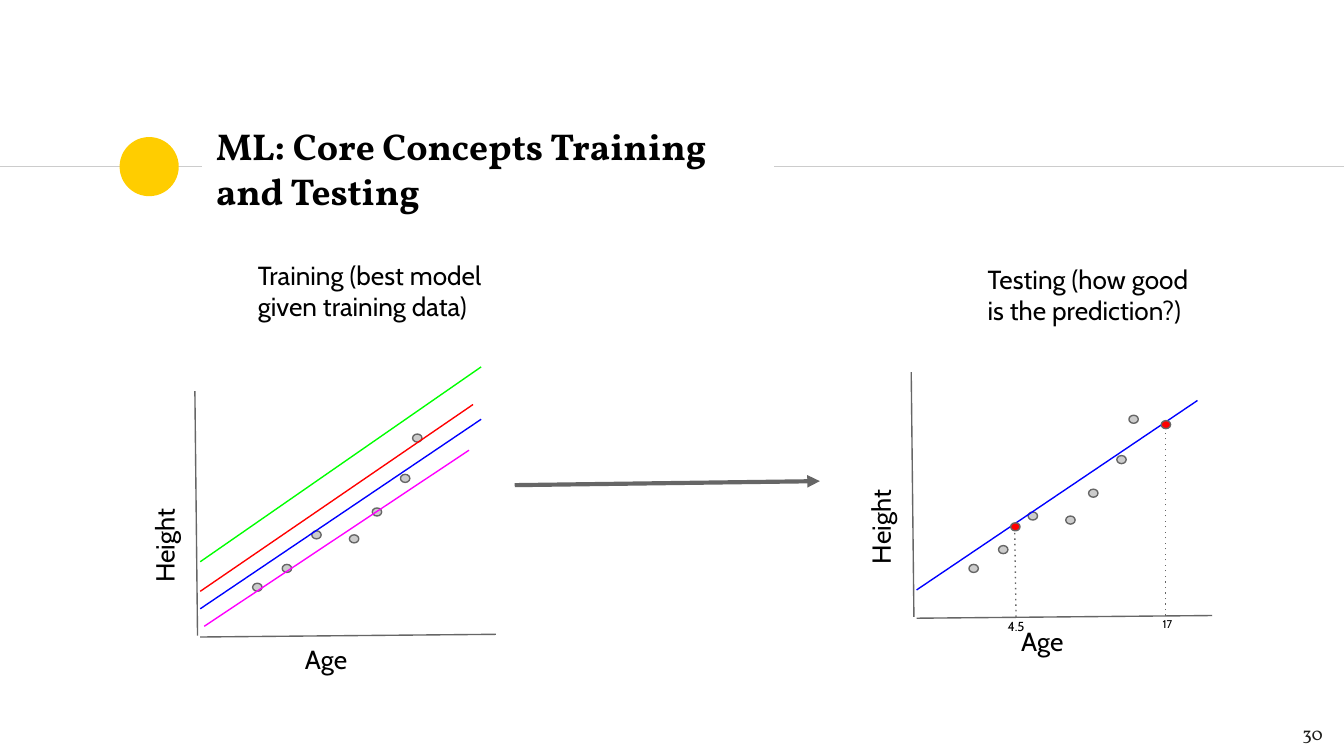
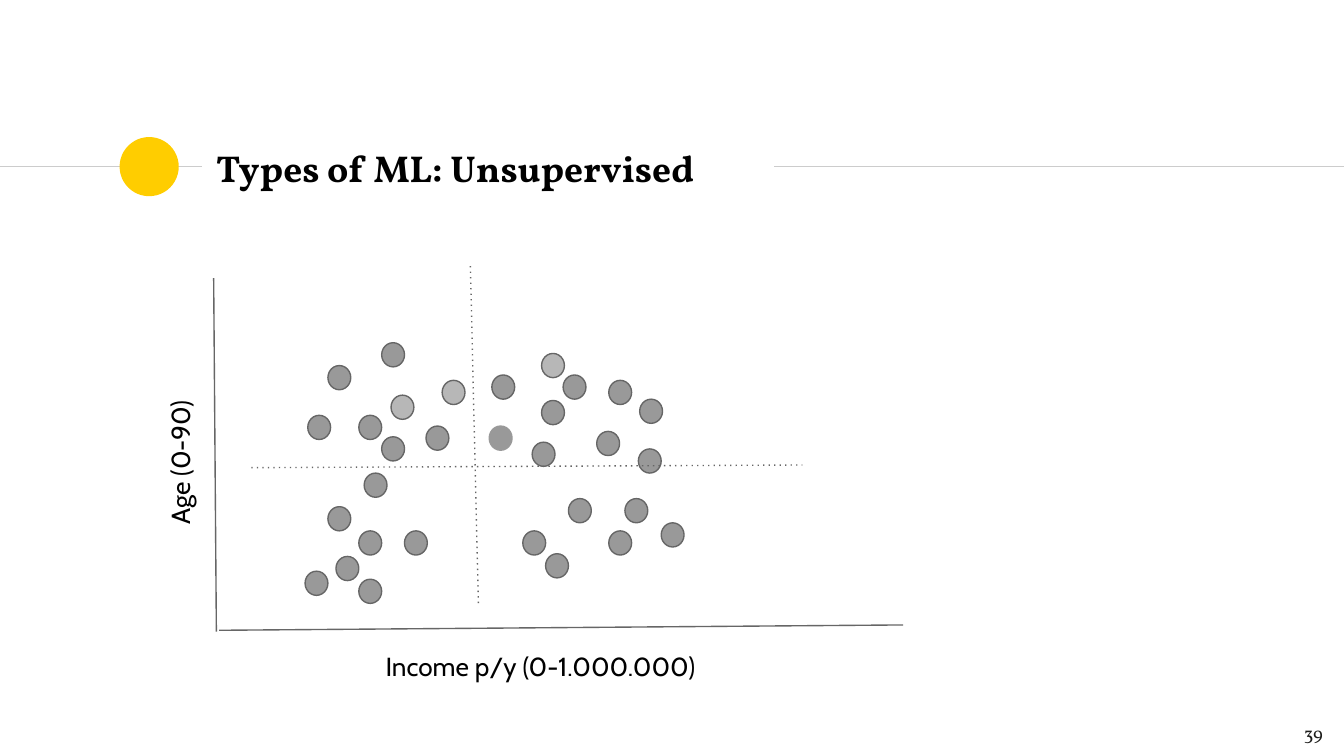
from dataclasses import dataclass
from typing import NamedTuple

from lxml.etree import SubElement
from pptx import Presentation
from pptx.dml.color import RGBColor
from pptx.enum.shapes import MSO_CONNECTOR, MSO_SHAPE
from pptx.enum.text import MSO_ANCHOR, PP_ALIGN
from pptx.oxml.ns import qn
from pptx.slide import Slide
from pptx.util import Inches, Pt


@dataclass(frozen=True)
class Theme:
    title_font: str = "Vollkorn"
    body_font: str = "Cabin"
    title_size: float = 20
    body_size: float = 14
    number_size: float = 10
    tick_size: float = 7
    small_tick_size: float = 6
    thin: float = 0.75
    thick: float = 2.25
    black: str = "000000"
    number: str = "1D1D1B"
    rule: str = "CCCCCC"
    accent: str = "FFCD00"
    stroke: str = "666666"
    sample: str = "CCCCCC"
    person: str = "999999"
    light_person: str = "B7B7B7"
    red: str = "FF0000"
    green: str = "00FF00"
    blue: str = "0000FF"
    magenta: str = "FF00FF"


THEME = Theme()


class Point(NamedTuple):
    x: float
    y: float


class Size(NamedTuple):
    width: float
    height: float


class Segment(NamedTuple):
    start: Point
    end: Point
    color: str = THEME.stroke


class Label(NamedTuple):
    text: str
    corner: Point
    size: Size


PAGE = Size(10, 10 * 9 / 16)
SAMPLE_SIZE = Size(0.07, 0.06)
PERSON_SIZE = Size(0.17, 0.18)
TESTING_SHIFT = Point(5.33, -0.14)

# Top left corners of the sample markers in the training plot
SAMPLES = [
    Point(2.1, 4.2), Point(2.32, 3.95), Point(2.6, 3.98), Point(2.77, 3.78),
    Point(2.98, 3.53), Point(1.88, 4.34), Point(3.07, 3.23),
]
PLOT_AXES = [
    Segment(Point(1.45, 2.91), Point(1.47, 4.73)),
    Segment(Point(1.49, 4.74), Point(3.69, 4.72)),
]
BEST_MODEL = Segment(Point(1.49, 4.53), Point(3.58, 3.12), THEME.blue)
OTHER_MODELS = [
    Segment(Point(1.52, 4.66), Point(3.49, 3.35), THEME.magenta),
    Segment(Point(1.49, 4.18), Point(3.58, 2.73), THEME.green),
    Segment(Point(1.49, 4.4), Point(3.52, 3.01), THEME.red),
]
PREDICTIONS = [Point(7.52, 3.89), Point(8.64, 3.13)]
DROP_LINES = [
    Segment(Point(7.56, 4.59), Point(7.55, 3.95)),
    Segment(Point(8.67, 4.58), Point(8.67, 3.19)),
]
CAPTIONS = [
    Label("Training (best model given training data)", Point(1.82, 1.83), Size(2.15, 0.88)),
    Label("Testing (how good is the prediction?)", Point(7.25, 1.86), Size(1.77, 0.88)),
]

INCOME_AXES = [
    Segment(Point(1.59, 2.07), Point(1.61, 4.7)),
    Segment(Point(1.63, 4.69), Point(6.72, 4.65)),
]
CLUSTER_BORDERS = [
    Segment(Point(3.5, 1.98), Point(3.56, 4.51)),
    Segment(Point(1.87, 3.48), Point(5.97, 3.46)),
]
PEOPLE = [
    # younger, low income
    Point(2.5, 4.14), Point(2.67, 4.31), Point(2.67, 3.95), Point(2.27, 4.25),
    Point(3.01, 3.95), Point(2.71, 3.52), Point(2.44, 3.77),
    # younger, high income
    Point(3.89, 3.95), Point(4.06, 4.12), Point(4.23, 3.71), Point(4.53, 3.95),
    Point(4.65, 3.71), Point(4.92, 3.89),
    # older, low income
    Point(2.67, 3.09), Point(2.84, 3.25), Point(2.29, 3.09), Point(2.44, 2.72),
    Point(2.84, 2.55), Point(3.17, 3.17),
    # older, high income
    Point(4.44, 3.21), Point(4.75, 3.34), Point(4.19, 2.79), Point(4.03, 2.98),
    Point(4.53, 2.83), Point(3.96, 3.29), Point(4.76, 2.97), Point(3.66, 2.79),
]
LIGHT_PEOPLE = [Point(2.91, 2.94), Point(3.29, 2.83), Point(4.03, 2.63)]
UNLINED_PERSON = Point(3.64, 3.17)


def moved(point: Point, shift: Point) -> Point:
    return Point(point.x + shift.x, point.y + shift.y)


def add_text(
    page: Slide, label: Label, *, font: str = THEME.body_font,
    size: float = THEME.body_size, color: str = THEME.black, bold: bool = False,
    align: PP_ALIGN = PP_ALIGN.LEFT, anchor: MSO_ANCHOR = MSO_ANCHOR.TOP,
    rotation: float = 0, bottom_margin: float = 0.1,
) -> None:
    box = page.shapes.add_textbox(
        Inches(label.corner.x), Inches(label.corner.y),
        Inches(label.size.width), Inches(label.size.height),
    )
    box.rotation = rotation
    frame = box.text_frame
    frame.word_wrap = True
    frame.vertical_anchor = anchor
    frame.margin_left = frame.margin_right = frame.margin_top = Inches(0.1)
    frame.margin_bottom = Inches(bottom_margin)
    para = frame.paragraphs[0]
    para.alignment = align
    span = para.add_run()
    span.text = label.text
    span.font.name = font
    span.font.size = Pt(size)
    span.font.bold = bold
    span.font.color.rgb = RGBColor.from_string(color)


def add_line(
    page: Slide, segment: Segment, *, width: float = THEME.thin,
    dotted: bool = False, arrow: bool = False,
) -> None:
    start, end, color = segment
    connector = page.shapes.add_connector(
        MSO_CONNECTOR.STRAIGHT,
        Inches(start.x), Inches(start.y), Inches(end.x), Inches(end.y),
    )
    connector.line.color.rgb = RGBColor.from_string(color)
    connector.line.width = Pt(width)
    outline = connector._element.spPr.find(qn("a:ln"))
    if dotted:
        SubElement(outline, qn("a:prstDash"), val="dot")
    if arrow:
        SubElement(outline, qn("a:tailEnd"), type="triangle")
    SubElement(connector._element.spPr, qn("a:effectLst"))


def add_dot(
    page: Slide, corner: Point, size: Size, fill: str, *,
    outline: str | None = THEME.stroke, kind: MSO_SHAPE = MSO_SHAPE.OVAL,
) -> None:
    dot = page.shapes.add_shape(
        kind, Inches(corner.x), Inches(corner.y), Inches(size.width), Inches(size.height)
    )
    dot.shadow.inherit = False
    dot.fill.solid()
    dot.fill.fore_color.rgb = RGBColor.from_string(fill)
    if outline is None:
        dot.line.fill.background()
    else:
        dot.line.color.rgb = RGBColor.from_string(outline)
        dot.line.width = Pt(THEME.thin)


def add_page(deck: Presentation, title: str, number: int) -> Slide:
    """Add a blank page with the rule, yellow circle, title and page number."""
    page = deck.slides.add_slide(deck.slide_layouts[6])
    for left, right in ((0, 1.5), (5.76, PAGE.width)):
        add_line(page, Segment(Point(left, 1.24), Point(right, 1.24), THEME.rule))
    add_dot(page, Point(0.89, 1.02), Size(0.44, 0.44), THEME.accent, outline=None)
    add_text(
        page, Label(title, Point(1.51, 1.01), Size(4.24, 0.48)), font=THEME.title_font,
        size=THEME.title_size, bold=True, anchor=MSO_ANCHOR.MIDDLE,
    )
    add_text(
        page, Label(str(number), Point(9.34, 5.19), Size(0.6, 0.43)),
        font=THEME.title_font, size=THEME.number_size, color=THEME.number,
        align=PP_ALIGN.RIGHT, anchor=MSO_ANCHOR.BOTTOM,
    )
    return page


def add_height_plot(page: Slide, shift: Point = Point(0, 0)) -> None:
    """Draw height against age with the samples and the best model."""
    for axis in PLOT_AXES:
        add_line(page, Segment(moved(axis.start, shift), moved(axis.end, shift)))
    height = Label("Height", moved(Point(0.47, 3.3), shift), Size(1.67, 0.6))
    add_text(page, height, rotation=270)
    add_text(page, Label("Age", moved(Point(2.17, 4.69), shift), Size(1.52, 0.48)))
    for sample in SAMPLES:
        add_dot(page, moved(sample, shift), SAMPLE_SIZE, THEME.sample)
    start, end, color = BEST_MODEL
    add_line(page, Segment(moved(start, shift), moved(end, shift), color))


def add_training_page(deck: Presentation) -> None:
    page = add_page(deck, "ML: Core Concepts Training and Testing", 30)
    add_height_plot(page)
    add_height_plot(page, TESTING_SHIFT)
    for prediction, drop_line in zip(PREDICTIONS, DROP_LINES):
        add_dot(page, prediction, SAMPLE_SIZE, THEME.red, kind=MSO_SHAPE.FLOWCHART_CONNECTOR)
        add_line(page, drop_line, dotted=True)
    tick = Size(0.37, 0.27)
    add_text(
        page, Label("4.5", Point(7.4, 4.5), tick), size=THEME.tick_size, bottom_margin=0
    )
    add_text(
        page, Label("17", Point(8.45, 4.49), tick), size=THEME.small_tick_size,
        align=PP_ALIGN.RIGHT, bottom_margin=0,
    )
    for model in OTHER_MODELS:
        add_line(page, model)
    add_line(
        page, Segment(Point(3.83, 3.61), Point(6.1, 3.58)), width=THEME.thick, arrow=True
    )
    for caption in CAPTIONS:
        add_text(page, caption)


def add_unsupervised_page(deck: Presentation) -> None:
    page = add_page(deck, "Types of ML: Unsupervised", 39)
    for axis in INCOME_AXES:
        add_line(page, axis)
    add_text(page, Label("Age (0-90)", Point(0.63, 2.56), Size(1.93, 0.95)), rotation=270)
    add_text(page, Label("Income p/y (0-1.000.000)", Point(2.77, 4.74), Size(2.69, 0.77)))
    for person in PEOPLE:
        add_dot(page, person, PERSON_SIZE, THEME.person)
    for person in LIGHT_PEOPLE:
        add_dot(page, person, PERSON_SIZE, THEME.light_person)
    add_dot(page, UNLINED_PERSON, PERSON_SIZE, THEME.person, outline=THEME.person)
    for border in CLUSTER_BORDERS:
        add_line(page, border, dotted=True)


def main() -> None:
    deck = Presentation()
    deck.slide_width = Inches(PAGE.width)
    deck.slide_height = Inches(PAGE.height)
    add_training_page(deck)
    add_unsupervised_page(deck)
    deck.save("out.pptx")


if __name__ == "__main__":
    main()
